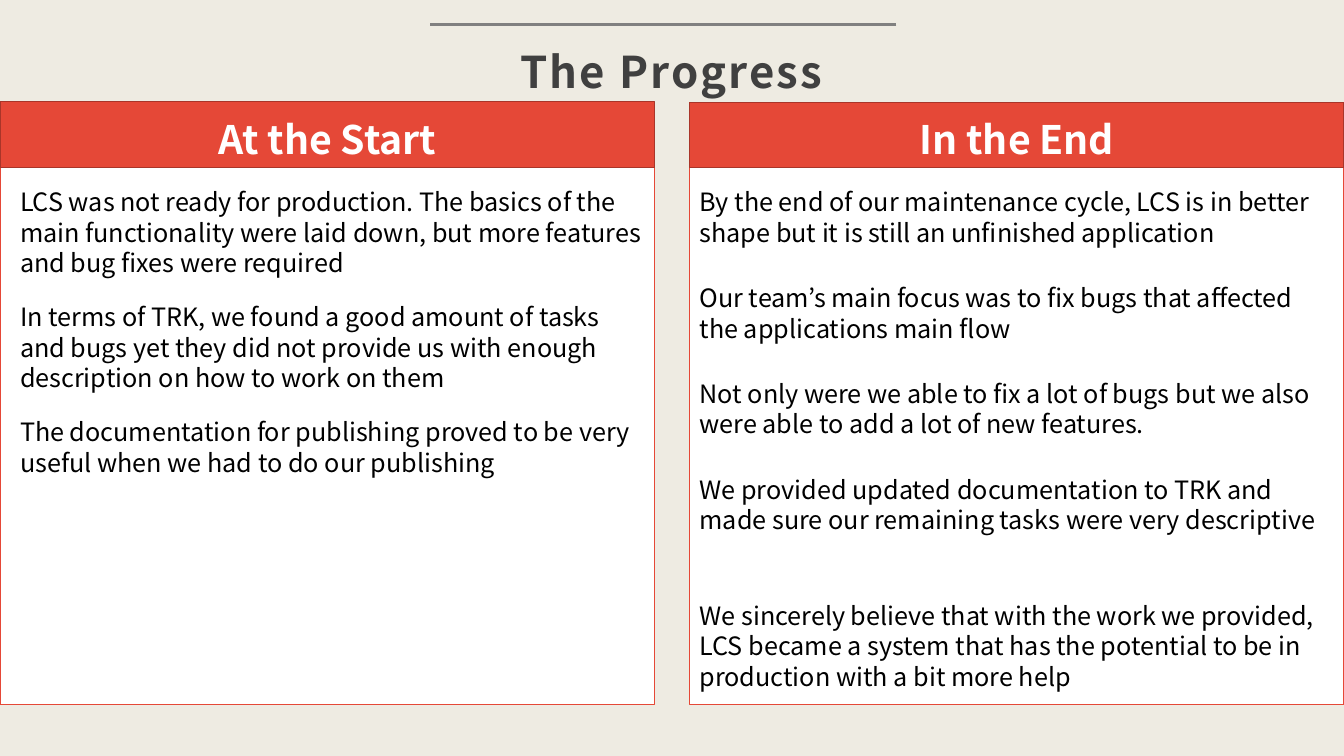
from pptx import Presentation
from pptx.dml.color import RGBColor
from pptx.enum.shapes import MSO_CONNECTOR, MSO_SHAPE
from pptx.enum.text import MSO_ANCHOR, MSO_AUTO_SIZE, PP_ALIGN
from pptx.oxml.ns import qn
from pptx.util import Inches, Pt
from lxml.etree import SubElement

FONT = "Noto Sans CJK JP"
CREAM = RGBColor(0xEE, 0xEB, 0xE2)
RED = RGBColor(0xE5, 0x48, 0x37)
DARK_RED = RGBColor(0xA9, 0x35, 0x29)
CHARCOAL = RGBColor(0x40, 0x40, 0x40)
GRAY = RGBColor(0x80, 0x80, 0x80)
WHITE = RGBColor(0xFF, 0xFF, 0xFF)
BLACK = RGBColor(0, 0, 0)

TITLE = "The Progress"
# Each paragraph comes with the number of lines it is given.
COLUMNS = [
    {"heading": "At the Start", "left": 0, "header_top": 1.01,
     "indent": 0.1, "gap": 0.13, "paragraphs": [
         ("LCS was not ready for production. The basics of the main functionality "
          "were laid down, but more features and bug fixes were required", 3),
         ("In terms of TRK, we found a good amount of tasks and bugs yet they did "
          "not provide us with enough description on how to work on them", 3),
         ("The documentation for publishing proved to be very useful when we had "
          "to do our publishing", 2)]},
    {"heading": "In the End", "left": 6.84, "header_top": 1.02,
     "indent": 0, "gap": 0.24, "paragraphs": [
         ("By the end of our maintenance cycle, LCS is in better shape but it is "
          "still an unfinished application", 2),
         ("Our team\u2019s main focus was to fix bugs that affected the "
          "applications main flow", 2),
         ("Not only were we able to fix a lot of bugs but we also were able to "
          "add a lot of new features.", 2),
         ("We provided updated documentation to TRK and made sure our remaining "
          "tasks were very descriptive", 3),
         ("We sincerely believe that with the work we provided, LCS became a "
          "system that has the potential to be in production with a bit more "
          "help", 3)]},
]
SLIDE_WIDTH, SLIDE_HEIGHT = 13.33, 7.5
COLUMN_WIDTH = 6.49
PANEL_TOP, PANEL_HEIGHT = 1.66, 5.33
TEXT_TOP = 1.8
LINE_HEIGHT, INSETS = 0.3, 0.11


def add_block(slide, left, top, width, height, fill, outline):
    """Add a filled rectangle with a thin outline."""
    block = slide.shapes.add_shape(MSO_SHAPE.RECTANGLE, Inches(left), Inches(top),
                                   Inches(width), Inches(height))
    block.shadow.inherit = False
    block.fill.solid()
    block.fill.fore_color.rgb = fill
    block.line.color.rgb = outline
    block.line.width = Pt(1)
    return block


def add_text_box(slide, left, top, width, height):
    """Add an empty wrapping text box."""
    box = slide.shapes.add_textbox(Inches(left), Inches(top),
                                   Inches(width), Inches(height))
    box.text_frame.word_wrap = True
    return box


def write(shape, text, size, color, bold=False, align=PP_ALIGN.LEFT, spacing=None):
    """Put one styled paragraph in a shape and return it."""
    para = shape.text_frame.paragraphs[0]
    para.text = text
    para.alignment = align
    para.line_spacing = spacing
    para.font.name = FONT
    para.font.size = Pt(size)
    para.font.bold = bold
    para.font.color.rgb = color
    return para


def add_panel(slide, column):
    """Add a column's white panel and its stacked paragraphs."""
    left, indent = column["left"], column["indent"]
    add_block(slide, left, PANEL_TOP, COLUMN_WIDTH, PANEL_HEIGHT, WHITE, RED)
    top = TEXT_TOP
    for text, lines in column["paragraphs"]:
        height = lines * LINE_HEIGHT + INSETS
        box = add_text_box(slide, left + indent, top, COLUMN_WIDTH - indent, height)
        box.text_frame.auto_size = MSO_AUTO_SIZE.SHAPE_TO_FIT_TEXT
        write(box, text, 18, BLACK, spacing=Pt(21.8))
        top += height + column["gap"]


def add_header(slide, column):
    """Add the red heading bar that sits on top of a panel."""
    top = column["header_top"]
    bar = add_block(slide, column["left"], top, COLUMN_WIDTH, PANEL_TOP - top,
                    RED, DARK_RED)
    bar.text_frame.vertical_anchor = MSO_ANCHOR.BOTTOM
    write(bar, column["heading"], 28, WHITE, True, PP_ALIGN.CENTER)


def add_title(slide):
    """Add the letter-spaced title and the rule above it."""
    box = add_text_box(slide, 4.82, 0.24, 3.68, 0.82)
    para = write(box, TITLE, 31.2, CHARCOAL, True, PP_ALIGN.CENTER, Pt(48.8))
    para.runs[0].font._element.set("spc", "150")
    rule = slide.shapes.add_connector(MSO_CONNECTOR.STRAIGHT, Inches(8.89),
                                      Inches(0.24), Inches(4.27), Inches(0.24))
    rule.line.color.rgb = GRAY
    rule.line.width = Pt(2.25)
    SubElement(rule._element.spPr, qn("a:effectLst"))


deck = Presentation()
deck.slide_width, deck.slide_height = Inches(SLIDE_WIDTH), Inches(SLIDE_HEIGHT)
page = deck.slides.add_slide(deck.slide_layouts[6])
page.background.fill.solid()
page.background.fill.fore_color.rgb = CREAM
for column in COLUMNS:
    add_panel(page, column)
add_block(page, 0, 0, SLIDE_WIDTH, 1.01, CREAM, CREAM)
for column in COLUMNS:
    add_header(page, column)
add_title(page)
deck.save("out.pptx")
